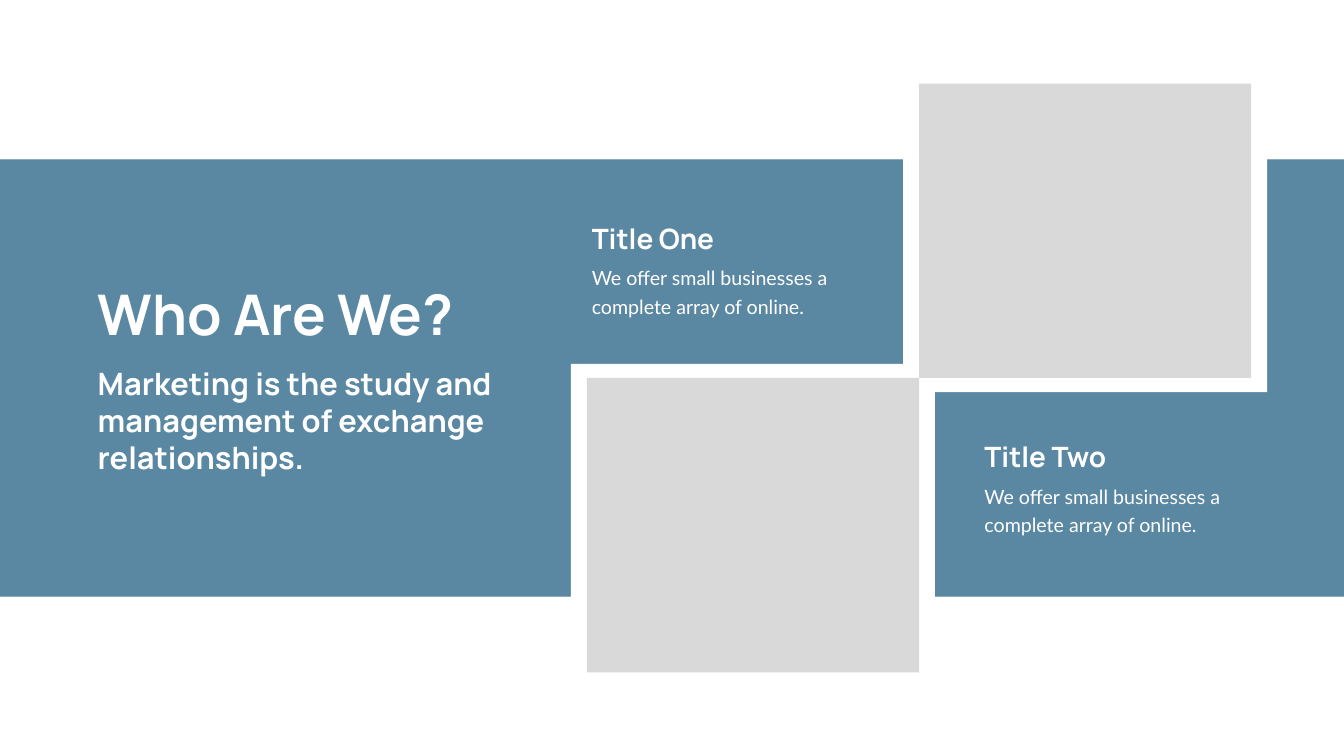
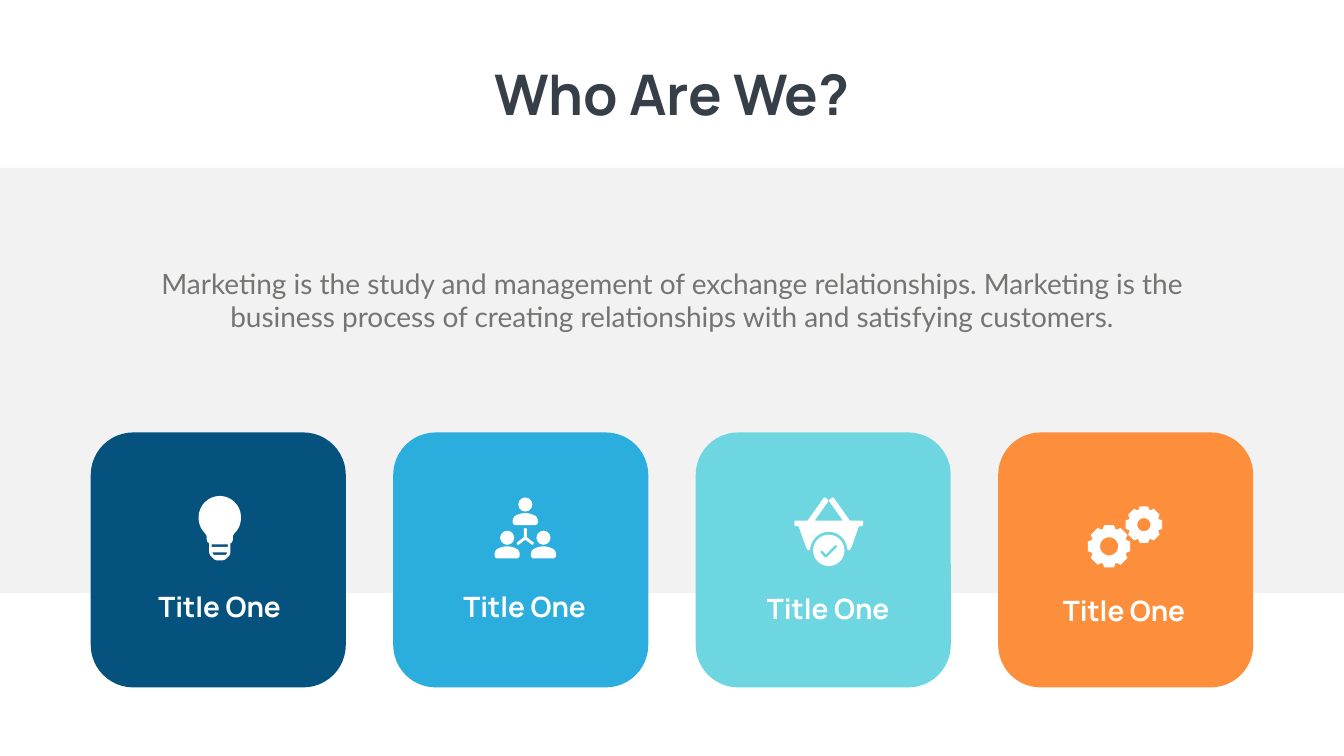
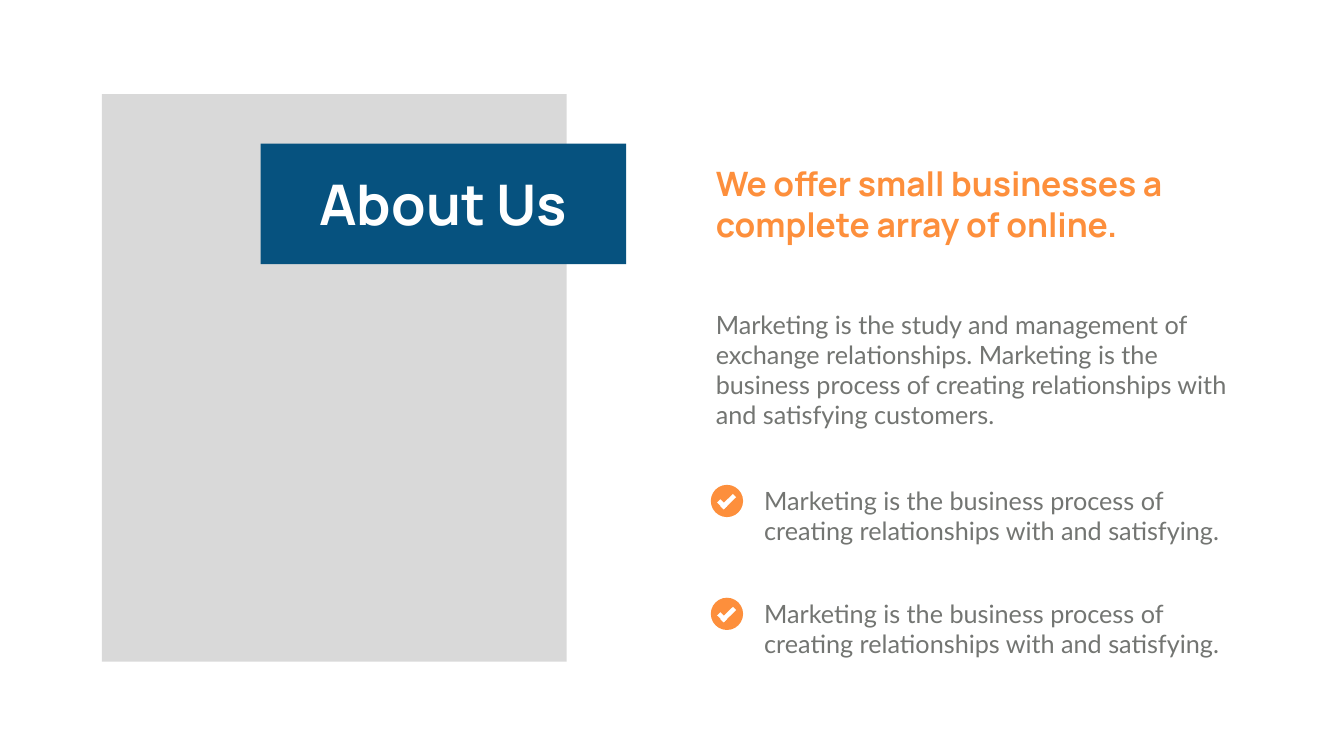
from math import cos, pi, sin

from lxml import etree
from pptx import Presentation
from pptx.dml.color import RGBColor
from pptx.enum.shapes import MSO_SHAPE
from pptx.enum.text import MSO_AUTO_SIZE, PP_ALIGN
from pptx.oxml.ns import qn
from pptx.util import Inches, Pt

RECTANGLE = MSO_SHAPE.RECTANGLE
ROUNDED = MSO_SHAPE.ROUNDED_RECTANGLE
OVAL = MSO_SHAPE.OVAL
LEFT, CENTER = PP_ALIGN.LEFT, PP_ALIGN.CENTER
FIT_SHAPE = MSO_AUTO_SIZE.SHAPE_TO_FIT_TEXT

PAGE_WIDTH, PAGE_HEIGHT = 26.66, 15
HEADING_FONT, BODY_FONT = "Manrope", "Lato"
COLORS = {
    "white": "FFFFFF",
    "placeholder": "D9D9D9",
    "band": "F2F2F2",
    "navy": "06527F",
    "blue": "2BAEDD",
    "aqua": "6ED6E1",
    "orange": "FD8F3C",
    "title": "363E48",
    "body": "737572",
}
OFFER = "We offer small businesses a complete array of online."
STUDY = "Marketing is the study and management of exchange relationships."
PROCESS = "Marketing is the business process of creating relationships with and satisfying"


def paint(shape, color):
    shape.shadow.inherit = False
    shape.fill.solid()
    shape.fill.fore_color.rgb = RGBColor.from_string(COLORS[color])
    shape.line.fill.background()


def add_block(page, left, top, width, height, color, kind=RECTANGLE, rotation=0):
    block = page.shapes.add_shape(
        kind, Inches(left), Inches(top), Inches(width), Inches(height))
    paint(block, color)
    block.rotation = rotation
    return block


def set_opacity(shape, percent):
    rgb = shape.fill._xPr.find(".//" + qn("a:srgbClr"))
    etree.SubElement(rgb, qn("a:alpha")).set("val", str(percent * 1000))


def add_text(page, left, top, width, height, text, size, color, font=BODY_FONT,
             align=LEFT, wrap=True, spacing=None):
    box = page.shapes.add_textbox(
        Inches(left), Inches(top), Inches(width), Inches(height))
    frame = box.text_frame
    frame.word_wrap = wrap
    frame.auto_size = FIT_SHAPE
    para = frame.paragraphs[0]
    para.text = text
    para.alignment = align
    if spacing:
        para.line_spacing = Pt(spacing)
    para.font.name = font
    para.font.size = Pt(size)
    para.font.bold = font == HEADING_FONT
    para.font.color.rgb = RGBColor.from_string(COLORS[color])


def add_heading(page, left, top, width, height, text, size, color, **options):
    add_text(page, left, top, width, height, text, size, color, HEADING_FONT, **options)


def add_title(page, left, top, width, text, color, **options):
    add_heading(page, left, top, width, 1.45, text, 80, color, **options)


def bezier(start, numbers, steps=8):
    """Points along a cubic curve, after its start."""
    controls = [start, numbers[:2], numbers[2:4], numbers[4:]]
    weights = (1, 3, 3, 1)
    for step in range(1, steps + 1):
        t = step / steps
        yield tuple(
            sum(weights[i] * (1 - t) ** (3 - i) * t ** i * controls[i][axis]
                for i in range(4))
            for axis in (0, 1))


def mirrored(start, *segments):
    """Closed outline from its right half; start lies on the axis.

    A segment of two numbers is a line, one of six is a curve.
    """
    half = [start]
    for segment in segments:
        half.extend([segment] if len(segment) == 2 else bezier(half[-1], segment))
    return half + [(2 * start[0] - x, y) for x, y in reversed(half[1:])]


def circle(x, y, radius, steps=40):
    return [(x + radius * cos(2 * pi * i / steps), y + radius * sin(2 * pi * i / steps))
            for i in range(steps)]


def gear(x, y, radius, teeth=8):
    root = 0.85 * radius
    points = []
    for tooth in range(teeth):
        for degrees, reach in ((-20, root), (-13, radius), (13, radius), (20, root)):
            angle = 2 * pi * tooth / teeth + degrees * pi / 180
            points.append((x + reach * cos(angle), y + reach * sin(angle)))
    return points


def add_outline(page, left, top, *contours):
    """White freeform; later contours cut holes or add separate parts."""
    builder = None
    for contour in contours:
        points = [(Inches(x), Inches(y)) for x, y in contour]
        if builder is None:
            builder = page.shapes.build_freeform(*points[0], scale=1.0)
        else:
            builder.move_to(*points[0])
        builder.add_line_segments(points[1:], close=True)
    paint(builder.convert_to_shape(Inches(left), Inches(top)), "white")


BULB = mirrored(
    (0.43, 0), (0.66, 0, 0.85, 0.19, 0.85, 0.42), (0.85, 0.59, 0.78, 0.68, 0.73, 0.73),
    (0.71, 0.76, 0.69, 0.78, 0.69, 0.8), (0.69, 0.85),
    (0.69, 0.89, 0.67, 0.93, 0.64, 0.94), (0.64, 1.11),
    (0.64, 1.14, 0.63, 1.17, 0.61, 1.19), (0.56, 1.24),
    (0.53, 1.27, 0.5, 1.28, 0.46, 1.28))
BULB_SLOTS = (mirrored((0.43, 0.96), (0.59, 0.96), (0.59, 1.01)),
              mirrored((0.43, 1.12), (0.58, 1.12), (0.55, 1.17)))
SHOULDERS = mirrored(
    (0.25, 0.01), (0.33, 0.01, 0.4, 0.04, 0.44, 0.06), (0.48, 0.08, 0.5, 0.13, 0.5, 0.17),
    (0.5, 0.19), (0.5, 0.22, 0.47, 0.25, 0.44, 0.25))
TEAM_LINK = mirrored(
    (0.17, 0), (0.19, 0, 0.2, 0.01, 0.2, 0.03), (0.2, 0.18), (0.33, 0.28),
    (0.34, 0.29, 0.34, 0.31, 0.33, 0.32), (0.33, 0.33, 0.3, 0.33, 0.29, 0.32),
    (0.17, 0.23))
BASKET = mirrored(
    (0.68, 0.46), (0.96, 0.46), (0.69, 0.08), (0.68, 0.07, 0.69, 0.05, 0.7, 0.04),
    (0.74, 0.01), (0.76, 0, 0.78, 0, 0.78, 0.01), (1.1, 0.46), (1.33, 0.46),
    (1.35, 0.46, 1.36, 0.47, 1.36, 0.48), (1.36, 0.54),
    (1.36, 0.56, 1.35, 0.57, 1.33, 0.57), (1.28, 0.57), (1.13, 0.99),
    (1.12, 1, 1.11, 1.02, 1.1, 1.04), (1.08, 1.06, 1.05, 1.04, 1.05, 1.02),
    (1.03, 0.83, 0.87, 0.68, 0.68, 0.68))
BADGE_TICK = [(0.47, 0.25), (0.27, 0.45), (0.23, 0.45), (0.15, 0.36), (0.15, 0.32),
              (0.19, 0.32), (0.25, 0.39), (0.43, 0.21), (0.47, 0.21)]


def bulb_icon(page, left, top):
    add_outline(page, left, top, BULB, *BULB_SLOTS)


def team_icon(page, left, top):
    for x, y in ((0.36, 0.3), (0, 0.96), (0.72, 0.96)):
        add_block(page, left + x + 0.11, top + y - 0.3, 0.28, 0.28, "white", OVAL)
        add_outline(page, left + x, top + y, SHOULDERS)
    add_outline(page, left + 0.44, top + 0.61, TEAM_LINK)


def basket_icon(page, left, top):
    add_outline(page, left, top, BASKET)
    add_outline(page, left + 0.37, top + 0.74, circle(0.31, 0.31, 0.31), BADGE_TICK)


def gears_icon(page, left, top):
    add_outline(page, left, top,
                gear(0.43, 0.8, 0.43), circle(0.43, 0.8, 0.18),
                gear(1.12, 0.37, 0.37), circle(1.12, 0.37, 0.13))


def framed_placeholder(page, left, top):
    """Grey square-ish field inside a white frame."""
    width, height, side, edge = 6.59, 5.84, 0.315, 0.28
    add_block(page, left - side, top - edge, width + 2 * side, height + 2 * edge, "white")
    return left, top, width, height


def titled_note(page, left, top, title):
    add_text(page, left, top + 0.79, 5.38, 1.19, OFFER, 28, "white", spacing=40.8)
    add_heading(page, left, top, 5.38, 0.77, title, 40, "white")


def icon_card(page, left, top, color, icon, icon_offset, label_offset):
    add_block(page, left, top, 5.06, 5.06, color, ROUNDED)
    icon(page, left + icon_offset[0], top + icon_offset[1])
    add_heading(page, left + label_offset[0], top + label_offset[1], 4.61, 0.77,
                "Title One", 40, "white", align=CENTER)


def check_item(page, left, top, text):
    add_block(page, left, top + 0.04, 0.64, 0.64, "orange", OVAL)
    add_block(page, left + 0.13, top + 0.38, 0.19, 0.09, "white", rotation=44.4)
    add_block(page, left + 0.17, top + 0.33, 0.35, 0.09, "white", rotation=135.7)
    add_text(page, left + 0.96, top, 9.58, 1.31, text, 36, "body")


def band_slide(page):
    band = (0, 3.16, PAGE_WIDTH, 8.68)
    add_block(page, *band, "placeholder")
    set_opacity(add_block(page, *band, "navy"), 60)
    fields = [framed_placeholder(page, left, top)
              for left, top in ((11.64, 7.5), (18.23, 1.66))]
    for field in fields:
        add_block(page, *field, "placeholder")
    titled_note(page, 11.64, 4.34, "Title One")
    titled_note(page, 19.43, 8.68, "Title Two")
    add_title(page, 1.84, 5.49, 8.15, "Who Are We?", "white")
    add_heading(page, 1.84, 7.18, 8.15, 2.32, STUDY, 44, "white")


def cards_slide(page):
    add_title(page, 9.43, 1.14, 7.8, "Who Are We?", "title", align=CENTER, wrap=False)
    add_block(page, 0, 3.33, PAGE_WIDTH, 8.44, "band")
    add_text(page, 2.92, 5.23, 20.82, 1.45, f"{STUDY} {PROCESS} customers.".replace(
        "business process", "business process"), 40, "body", align=CENTER)
    cards = (
        ("navy", bulb_icon, (2.13, 1.26), (0.25, 3.07)),
        ("blue", team_icon, (2.01, 1.29), (0.3, 3.07)),
        ("aqua", basket_icon, (1.96, 1.29), (0.32, 3.11)),
        ("orange", gears_icon, (1.77, 1.46), (0.19, 3.15)),
    )
    for index, card in enumerate(cards):
        icon_card(page, 1.8 + 6 * index, 8.58, *card)


def about_slide(page):
    add_block(page, 2.02, 1.87, 9.22, 11.26, "placeholder")
    add_block(page, 7.6, 0.42, 2.39, 7.25, "navy", rotation=90)
    add_title(page, 6.11, 3.32, 5.37, "About Us", "white", align=CENTER, wrap=False)
    left = 14.1
    add_heading(page, left, 3.19, 9.98, 1.72, OFFER, 48, "orange")
    add_text(page, left, 6.08, 10.54, 2.52, f"{STUDY} {PROCESS} customers.", 36, "body")
    for top in (9.58, 11.82):
        check_item(page, left, top, f"{PROCESS}.")


def main():
    deck = Presentation()
    deck.slide_width, deck.slide_height = Inches(PAGE_WIDTH), Inches(PAGE_HEIGHT)
    blank = deck.slide_layouts[6]
    for build in (band_slide, cards_slide, about_slide):
        build(deck.slides.add_slide(blank))
    deck.save("out.pptx")


if __name__ == "__main__":
    main()
